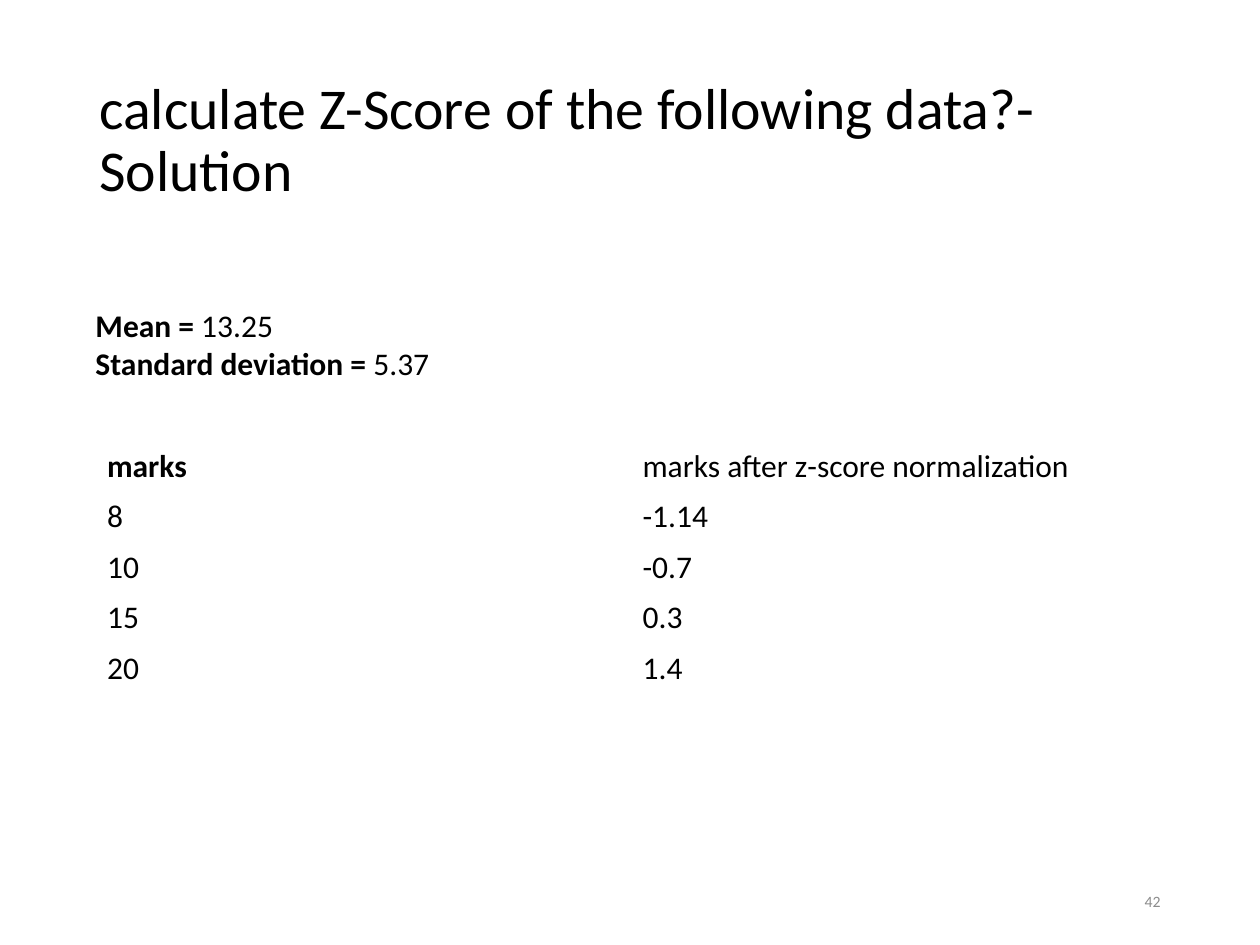
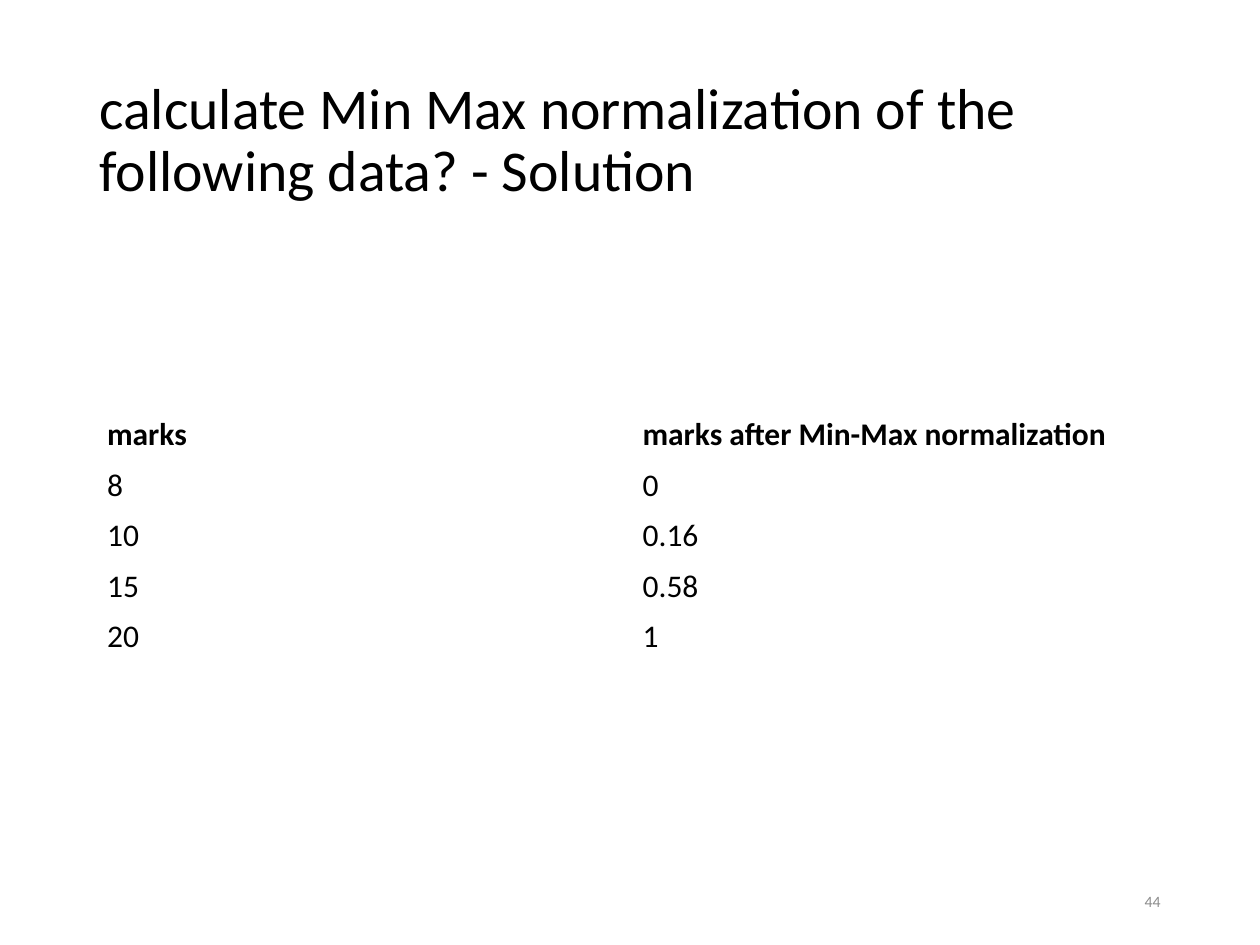
"""Build two solution slides on z-score and min-max normalization."""
from dataclasses import dataclass

from pptx import Presentation
from pptx.dml.color import RGBColor
from pptx.enum.text import MSO_ANCHOR as Anchor, PP_ALIGN as Align
from pptx.util import Inches, Pt

COLORS = {"text": "000000", "number": "8C8C8C", "page": "FFFFFF"}
FONT = "Calibri"
COLUMN_WIDTH, ROW_HEIGHT = 4.25, 0.4
MARKS = ("8", "10", "15", "20")


@dataclass(frozen=True)
class Span:
    text: str
    bold: bool = False


@dataclass(frozen=True)
class TextStyle:
    size: float
    color: str = "text"
    anchor: Anchor = Anchor.MIDDLE
    align: Align = Align.LEFT
    line_spacing: float = 1.0


@dataclass(frozen=True)
class Solution:
    title: str
    number: str
    table_top: float
    header: Span
    results: tuple[str, ...]
    statistics: tuple[tuple[Span, ...], ...] = ()


TITLE = TextStyle(33, line_spacing=0.9)
NUMBER = TextStyle(9, "number", align=Align.RIGHT)
BODY = TextStyle(18, anchor=Anchor.TOP)
CELL = TextStyle(18)

SOLUTIONS = (
    Solution(
        "calculate Z-Score of the following data?- Solution", "42", 3.5,
        Span("marks after z-score normalization"),
        ("-1.14", "-0.7", "0.3", "1.4"),
        ((Span("Mean =", True), Span(" 13.25")),
         (Span("Standard deviation =", True), Span(" 5.37"))),
    ),
    Solution(
        "calculate Min Max normalization of the following data? - Solution", "44", 3.25,
        Span("marks after Min-Max normalization", True),
        ("0", "0.16", "0.58", "1"),
    ),
)


def set_attributes(target, values: dict) -> None:
    for name, value in values.items():
        setattr(target, name, value)


def write_lines(frame, lines, style: TextStyle) -> None:
    for index, spans in enumerate(lines):
        para = frame.add_paragraph() if index else frame.paragraphs[0]
        set_attributes(para, {"alignment": style.align, "line_spacing": style.line_spacing})
        for span in spans:
            run = para.add_run()
            run.text = span.text
            set_attributes(run.font, {"name": FONT, "size": Pt(style.size), "bold": span.bold})
            run.font.color.rgb = RGBColor.from_string(COLORS[style.color])


def add_text(page, place, lines, style: TextStyle) -> None:
    box = page.shapes.add_textbox(*map(Inches, place))
    set_attributes(box.text_frame, {"word_wrap": True, "vertical_anchor": style.anchor})
    write_lines(box.text_frame, lines, style)


def add_marks_table(page, solution: Solution) -> None:
    rows = [(Span("marks", True), solution.header)]
    rows += [(Span(mark), Span(result)) for mark, result in zip(MARKS, solution.results)]
    place = (0.75, solution.table_top, 2 * COLUMN_WIDTH, ROW_HEIGHT * len(rows))
    table = page.shapes.add_table(len(rows), 2, *map(Inches, place)).table
    set_attributes(table, {"first_row": False, "horz_banding": False})
    for row_index, row in enumerate(rows):
        for column_index, span in enumerate(row):
            cell = table.cell(row_index, column_index)
            cell.fill.background()
            cell.vertical_anchor = CELL.anchor
            write_lines(cell.text_frame, [[span]], CELL)


def add_solution(deck, solution: Solution) -> None:
    page = deck.slides.add_slide(deck.slide_layouts[6])
    page.background.fill.solid()
    page.background.fill.fore_color.rgb = RGBColor.from_string(COLORS["page"])
    add_text(page, (0.69, 0.4, 8.62, 1.45), [[Span(solution.title)]], TITLE)
    add_text(page, (7.06, 6.95, 2.25, 0.4), [[Span(solution.number)]], NUMBER)
    add_marks_table(page, solution)
    if solution.statistics:
        add_text(page, (0.66, 2.38, 5, 0.71), solution.statistics, BODY)


def main() -> None:
    deck = Presentation()
    set_attributes(deck, {"slide_width": Inches(10), "slide_height": Inches(7.5)})
    for solution in SOLUTIONS:
        add_solution(deck, solution)
    deck.save("out.pptx")


if __name__ == "__main__":
    main()
